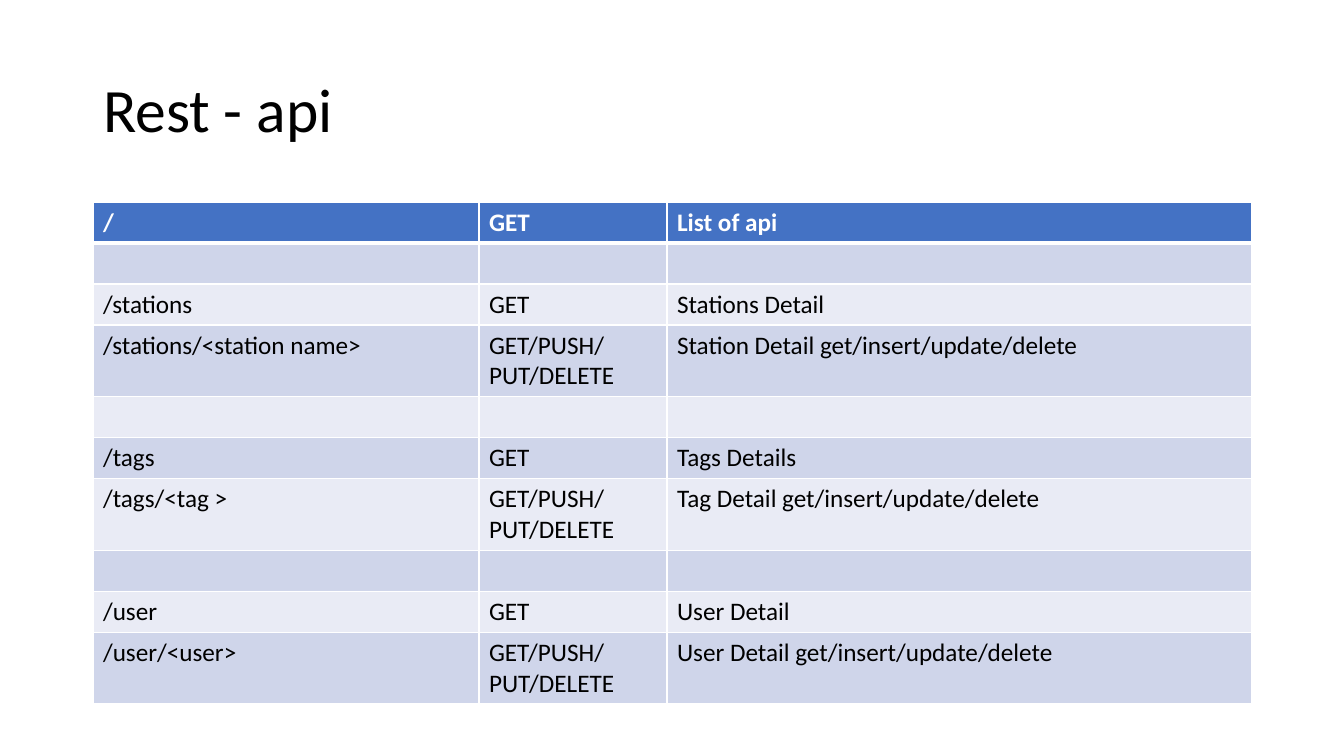
import pptx
import pptx.util
import pptx.dml.color
import pptx.enum.text
import pptx.oxml
import pptx.oxml.ns

FONT = "Calibri"
COLORS = {"header": "4472C4", "dark": "CFD5EA", "light": "E9EBF5",
          "line": "FFFFFF", "text": "000000", "header_text": "FFFFFF"}
METHODS = "GET/PUSH/PUT/DELETE"
ACTIONS = "get/insert/update/delete"
BLANK = ("", "", "")
ROWS = [
    ("/", "GET", "List of api"),
    BLANK,
    ("/stations", "GET", "Stations Detail"),
    ("/stations/<station name>", METHODS, f"Station Detail {ACTIONS}"),
    BLANK,
    ("/tags", "GET", "Tags Details"),
    ("/tags/<tag >", METHODS, f"Tag Detail {ACTIONS}"),
    BLANK,
    ("/user", "GET", "User Detail"),
    ("/user/<user>", METHODS, f"User Detail {ACTIONS}"),
]
COLUMN_WIDTHS = (386, 188, 585)
ROW_HEIGHT = 41


def px(n):
    return pptx.util.Emu(round(n * 914400 / 100.8))


def rgb(name):
    return pptx.dml.color.RGBColor.from_string(COLORS[name])


def add_run(p, text, size, color, bold=False):
    r = p.add_run()
    r.text = text
    r.font.name = FONT
    r.font.size = pptx.util.Pt(size)
    r.font.bold = bold
    r.font.color.rgb = rgb(color)


def set_border(cell, side, width):
    ns = pptx.oxml.ns.nsdecls("a")
    ln = pptx.oxml.parse_xml(
        f'<a:ln{side} {ns} w="{pptx.util.Pt(width)}"><a:solidFill>'
        f'<a:srgbClr val="{COLORS["line"]}"/></a:solidFill></a:ln{side}>')
    cell._tc.get_or_add_tcPr().append(ln)


def add_title(s, x, y, w, h):
    sp = s.shapes.title
    sp.left, sp.top, sp.width, sp.height = map(px, (x, y, w, h))
    tf = sp.text_frame
    tf.word_wrap = True
    tf.vertical_anchor = pptx.enum.text.MSO_ANCHOR.MIDDLE
    p = tf.paragraphs[0]
    p.alignment = pptx.enum.text.PP_ALIGN.LEFT
    p.line_spacing = 0.9
    add_run(p, "Rest - api", 44, "text")


def fill_cell(cell, text, row):
    header = row == 0
    for side in "LRTB":
        under_header = (row, side) in ((0, "B"), (1, "T"))
        set_border(cell, side, 3 if under_header else 1)
    cell.fill.solid()
    cell.fill.fore_color.rgb = rgb("header" if header else "dark" if row % 2 else "light")
    if text:
        add_run(cell.text_frame.paragraphs[0], text, 18,
                "header_text" if header else "text", header)


def add_endpoints(s, x, y, w, h):
    frame = s.shapes.add_table(len(ROWS), len(COLUMN_WIDTHS), *map(px, (x, y, w, h)))
    table = frame.table
    for column, width in zip(table.columns, COLUMN_WIDTHS):
        column.width = px(width * w / sum(COLUMN_WIDTHS))
    for i, values in enumerate(ROWS):
        table.rows[i].height = px(ROW_HEIGHT)
        for j, text in enumerate(values):
            fill_cell(table.cell(i, j), text, i)
    frame.height = px(h)


prs = pptx.Presentation()
prs.slide_width, prs.slide_height = px(1344), px(756)
s = prs.slides.add_slide(prs.slide_layouts[5])
add_title(s, 93, 40, 1159, 146)
add_endpoints(s, 93, 202, 1159, 498)
prs.save("out.pptx")
